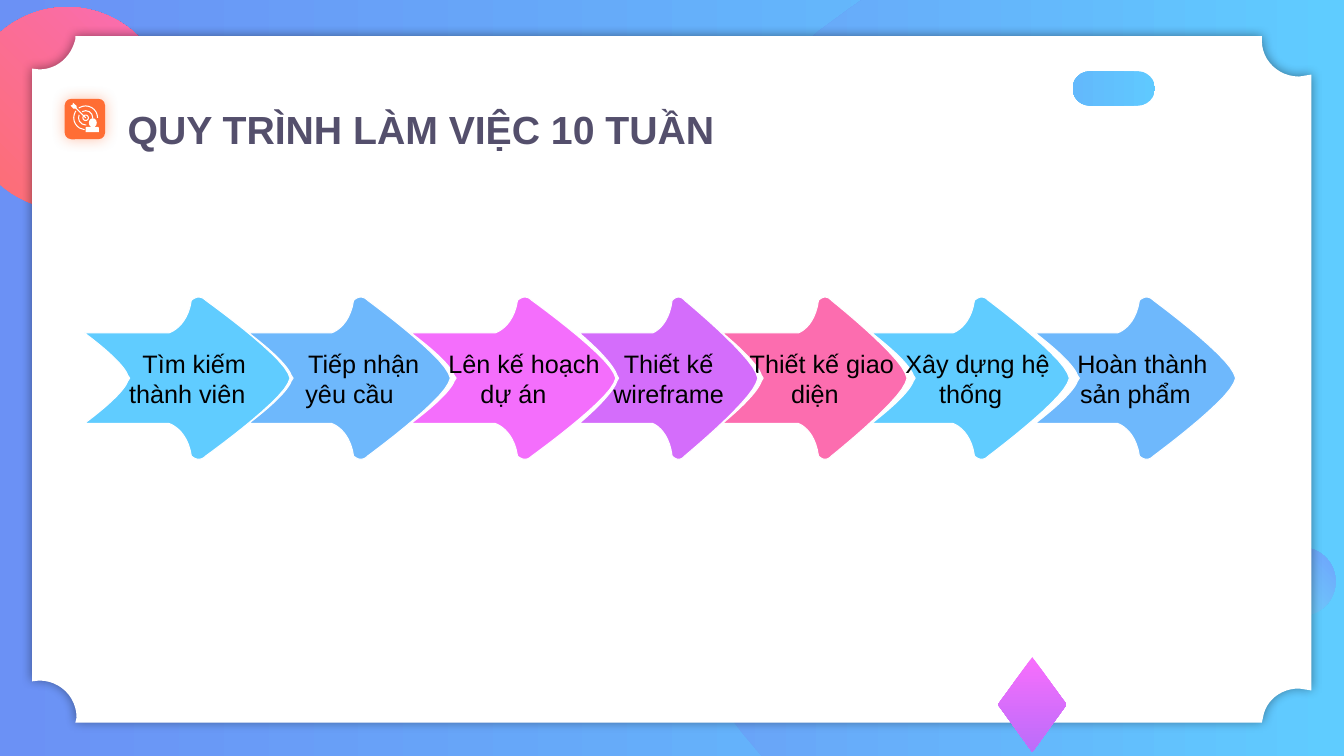
from lxml.etree import SubElement
from pptx import Presentation
from pptx.dml.color import RGBColor
from pptx.enum.shapes import MSO_CONNECTOR, MSO_SHAPE
from pptx.enum.text import MSO_ANCHOR, PP_ALIGN
from pptx.oxml.ns import qn
from pptx.util import Cm, Pt

WHITE = RGBColor(0xFF, 0xFF, 0xFF)
BLACK = RGBColor(0x00, 0x00, 0x00)
TITLE_GREY = RGBColor(0x54, 0x4F, 0x6C)
ORANGE = RGBColor(0xFF, 0x6D, 0x34)
CORAL = RGBColor(0xFD, 0x6E, 0x6E)
ROSE = RGBColor(0xF9, 0x6D, 0xB6)
AMBER = RGBColor(0xFD, 0xCA, 0x6E)
AQUA = RGBColor(0x6D, 0xDC, 0xFA)
CORNFLOWER = RGBColor(0x6E, 0xA2, 0xFC)
INDIGO = RGBColor(0x6B, 0x91, 0xF5)
PERIWINKLE = RGBColor(0x6B, 0x9E, 0xF7)
BRIGHT_SKY = RGBColor(0x5F, 0xCC, 0xFF)
PILL_LEFT = RGBColor(0x63, 0xB9, 0xFC)
PILL_RIGHT = RGBColor(0x5F, 0xC9, 0xFF)
VIOLET = RGBColor(0xBA, 0x6D, 0xFA)
SKY = RGBColor(0x60, 0xCC, 0xFF)
BLUE = RGBColor(0x6E, 0xB8, 0xFC)
MAGENTA = RGBColor(0xF4, 0x6E, 0xFC)
FUCHSIA = RGBColor(0xF8, 0x6E, 0xFC)
PURPLE = RGBColor(0xD4, 0x6D, 0xFB)
PINK = RGBColor(0xFC, 0x6D, 0xAF)

TITLE_FORMAT = {"name": "Arial", "size": Pt(28), "bold": True}
STEP_FORMAT = {"name": "Arial", "size": Pt(18)}

deck = Presentation()
deck.slide_width, deck.slide_height = Cm(33.87), Cm(19.05)
slide = deck.slides.add_slide(deck.slide_layouts[6])
shapes = slide.shapes


def outline(path, left=0, top=0, width=1, mirrored=False):
    """Draw a closed outline; pairs are corners, sextets are Bezier curves."""
    points = [path[0]]
    for node in path[1:]:
        if len(node) == 2:
            points.append(node)
            continue
        x0, y0 = points[-1]
        x1, y1, x2, y2, x3, y3 = node
        for t in (step / 12 for step in range(1, 13)):
            a, b, c, d = (1 - t) ** 3, 3 * t * (1 - t) ** 2, 3 * t * t * (1 - t), t ** 3
            points.append((a * x0 + b * x1 + c * x2 + d * x3,
                           a * y0 + b * y1 + c * y2 + d * y3))
    if mirrored:
        points += [(x, -y) for x, y in points[-2:0:-1]]
    placed = [(Cm(left + x * width), Cm(top + y)) for x, y in points]
    builder = shapes.build_freeform(*placed[0], scale=1.0)
    builder.add_line_segments(placed[1:], close=True)
    return builder.convert_to_shape()


def paint(shape, *colours, angle=0, halo=None):
    """One colour fills solid, two make a gradient; halo is colour and blur."""
    shape.shadow.inherit = False
    shape.line.fill.background()
    if len(colours) == 1:
        shape.fill.solid()
        shape.fill.fore_color.rgb = colours[0]
    else:
        shape.fill.gradient()
        shape.fill.gradient_angle = angle
        for stop, colour in zip(shape.fill.gradient_stops, colours):
            stop.color.rgb = colour
    if halo:
        effects = shape._element.spPr.find(qn("a:effectLst"))
        shadow = SubElement(effects, qn("a:outerShdw"), blurRad=str(Pt(halo[1])),
                            dist="0", dir="0", algn="ctr", rotWithShape="0")
        tint = SubElement(shadow, qn("a:srgbClr"), val=str(halo[0]))
        SubElement(tint, qn("a:alpha"), val="40000")
    return shape


# Background
backdrop = slide.background.fill
backdrop.gradient()
backdrop.gradient_angle = 0
for stop, colour in zip(backdrop.gradient_stops, (INDIGO, BRIGHT_SKY)):
    stop.color.rgb = colour

wave = [(21.72, 0), (33.73, 0), (33.73, 19.05), (19.2, 19.05),
        (17.17, 16.79, 15.93, 13.84, 15.93, 10.59),
        (15.93, 6.25, 18.11, 2.44, 21.46, 0.18)]
paint(outline(wave), PERIWINKLE, BRIGHT_SKY)

for left, top, size, start, end in [
    (-0.86, 0.18, 5.11, CORAL, ROSE),
    (0.81, 15.52, 1.73, CORAL, AMBER),
    (31.93, 13.79, 1.73, AQUA, CORNFLOWER),
]:
    bubble = shapes.add_shape(MSO_SHAPE.OVAL, Cm(left), Cm(top), Cm(size), Cm(size))
    paint(bubble, start, end, angle=45)

# White ticket with scooped corners
ticket = [(1.9, 0.91), (31.8, 0.91), (31.8, 1.02),
          (31.8, 1.52, 32.21, 1.93, 32.74, 1.93), (33.05, 1.88),
          (33.05, 17.4), (32.74, 17.35),
          (32.28, 17.35, 31.9, 17.65, 31.83, 18.08), (31.8, 18.21),
          (1.9, 18.21), (1.93, 18.08),
          (1.93, 17.55, 1.5, 17.15, 0.99, 17.15), (0.81, 17.17),
          (0.81, 1.73), (0.99, 1.75),
          (1.45, 1.75, 1.8, 1.42, 1.9, 0.99)]
paint(outline(ticket), WHITE, halo=(BLACK, 7))

diamond = shapes.add_shape(MSO_SHAPE.DIAMOND, Cm(25.15), Cm(16.56), Cm(1.73), Cm(2.39))
paint(diamond, FUCHSIA, VIOLET, angle=270)
pill = shapes.add_shape(MSO_SHAPE.ROUNDED_RECTANGLE, Cm(27.03), Cm(1.8), Cm(2.08), Cm(0.86))
pill.adjustments[0] = 0.5
paint(pill, PILL_RIGHT, PILL_LEFT, angle=180)

# Title
title = shapes.add_textbox(Cm(2.97), Cm(2.54), Cm(15.62), Cm(1.45)).text_frame
title.word_wrap = True
title_run = title.paragraphs[0].add_run()
title_run.text = "QUY TRÌNH LÀM VIỆC 10 TUẦN"
title_run.font.color.rgb = TITLE_GREY
for attribute, value in TITLE_FORMAT.items():
    setattr(title_run.font, attribute, value)

# Target icon: tile, rings, dart and person
tile = shapes.add_shape(MSO_SHAPE.ROUNDED_RECTANGLE, Cm(1.63), Cm(2.49), Cm(1.02), Cm(1.02))
paint(tile, ORANGE, halo=(ORANGE, 10))
target_x, target_y = 2.16, 2.97
for radius, start, end in [(0.3, 235, 0), (0.3, 95, 215), (0.18, 240, 0),
                           (0.18, 85, 205), (0.07, 235, 234)]:
    ring = shapes.add_shape(MSO_SHAPE.ARC, Cm(target_x - radius), Cm(target_y - radius),
                            Cm(2 * radius), Cm(2 * radius))
    ring.adjustments[0], ring.adjustments[1] = start * 0.6, end * 0.6
    ring.shadow.inherit = False
    ring.fill.background()
    ring.line.color.rgb = WHITE
    ring.line.width = Pt(0.75)
dart = shapes.add_connector(MSO_CONNECTOR.STRAIGHT, Cm(1.9), Cm(2.71),
                            Cm(target_x), Cm(target_y))
dart.line.color.rgb = WHITE
dart.line.width = Pt(0.75)
SubElement(dart._element.spPr, qn("a:effectLst"))
paint(outline([(1.78, 2.66), (1.83, 2.64), (1.84, 2.59), (1.93, 2.67),
               (1.93, 2.72), (1.9, 2.74), (1.85, 2.74)]), WHITE)
for part, left, top, width, height in [
    (MSO_SHAPE.OVAL, 2.24, 2.98, 0.2, 0.23),
    (MSO_SHAPE.ROUND_2_SAME_RECTANGLE, 2.16, 3.2, 0.33, 0.13),
]:
    paint(shapes.add_shape(part, Cm(left), Cm(top), Cm(width), Cm(height)), WHITE)

# Process arrows: upper half as shares of the width, mirrored downwards
half_arrow = [(0.22, 0), (0.21, -0.08),
              (0.2, -0.23, 0.15, -0.56, 0, -1.14), (0.41, -1.14),
              (0.41, -1.14, 0.5, -1.27, 0.52, -1.96),
              (0.52, -1.96, 0.54, -2.06, 0.56, -2.04),
              (0.57, -2.04, 0.58, -2.01, 0.59, -1.96),
              (0.59, -1.96, 0.94, -0.66, 0.99, -0.13), (1, 0)]
# Left, width, colour, first-line indent, label; each lies over the one before
for left, width, colour, indent, label in [
    (18.21, 4.65, PINK, 0.35, "Thiết kế giao diện"),
    (14.6, 4.5, PURPLE, 0, "Thiết kế wireframe"),
    (10.36, 5.16, MAGENTA, 0.53, "Lên kế hoạch dự án"),
    (6.27, 5.08, BLUE, 0.71, "Tiếp nhận yêu cầu"),
    (2.13, 5.18, SKY, 0.35, "Tìm kiếm thành viên"),
    (21.97, 4.98, SKY, 0.35, "Xây dựng hệ thống"),
    (26.09, 5.05, BLUE, 0.35, "Hoàn thành sản phẩm"),
]:
    step = paint(outline(half_arrow, left, 9.53, width, mirrored=True), colour)
    step.line.color.rgb = WHITE
    step.line.width = Pt(0.75)
    step.text_frame.word_wrap = True
    step.text_frame.vertical_anchor = MSO_ANCHOR.MIDDLE
    paragraph = step.text_frame.paragraphs[0]
    paragraph.alignment = PP_ALIGN.CENTER
    paragraph._p.get_or_add_pPr().set("indent", str(Cm(indent)))
    step_run = paragraph.add_run()
    step_run.text = label
    step_run.font.color.rgb = BLACK
    for attribute, value in STEP_FORMAT.items():
        setattr(step_run.font, attribute, value)

deck.save("out.pptx")
